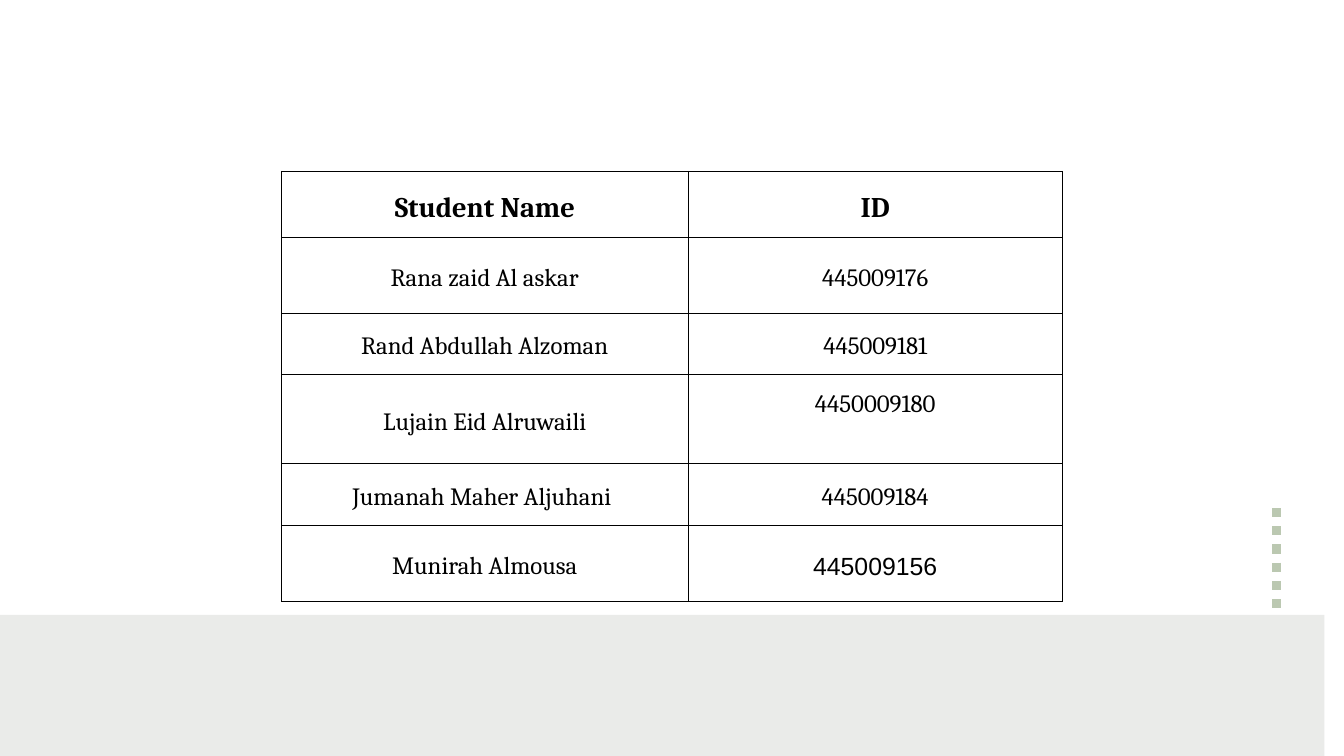
from lxml import etree
from pptx import Presentation
from pptx.dml.color import RGBColor
from pptx.enum.dml import MSO_LINE
from pptx.enum.shapes import MSO_CONNECTOR, MSO_SHAPE
from pptx.enum.text import MSO_ANCHOR, PP_ALIGN
from pptx.oxml import parse_xml
from pptx.oxml.ns import nsdecls, qn
from pptx.util import Inches, Pt

THEME = {
    "band": RGBColor(0xEA, 0xEB, 0xE9),
    "dots": RGBColor(0xBB, 0xC8, 0xB1),
    "text": RGBColor(0, 0, 0),
    "border": "000000",
    "border_width": Pt(1.37),
    "font": "Cambria",
    "header": {"size": Pt(30.5), "bold": True},
    "body": {"size": Pt(26.6), "bold": False},
    "header_leading": Pt(42.7),
    "body_leading": Pt(37.2),
}

STUDENTS = [
    ("Student Name", "ID"),
    ("Rana zaid Al askar", "445009176"),
    ("Rand Abdullah Alzoman", "445009181"),
    ("Lujain Eid Alruwaili", "4450009180"),
    ("Jumanah Maher Aljuhani ", "445009184"),
    ("Munirah Almousa", "445009156"),
]
COLUMN_WIDTHS = [6.05, 5.57]
ROW_HEIGHTS = [0.98, 1.13, 0.91, 1.33, 0.92, 1.13]
CELL_MARGIN = Inches(0.11)
RAISED_ID = "4450009180"
ARIAL_ID = "445009156"


def add_borders(cell):
    properties = cell._tc.get_or_add_tcPr()
    for position, side in enumerate(("lnL", "lnR", "lnT", "lnB")):
        properties.insert(position, parse_xml(
            f'<a:{side} {nsdecls("a")} w="{THEME["border_width"]}">'
            f'<a:solidFill><a:srgbClr val="{THEME["border"]}"/></a:solidFill>'
            f'<a:prstDash val="solid"/></a:{side}>'))


prs = Presentation()
prs.slide_width, prs.slide_height = Inches(20), Inches(11.25)
slide = prs.slides.add_slide(prs.slide_layouts[6])

# Dotted accent, running down behind the band
dots = slide.shapes.add_connector(
    MSO_CONNECTOR.STRAIGHT, Inches(18.99), Inches(7.56), Inches(18.99), Inches(10.42))
dots.line.color.rgb = THEME["dots"]
dots.line.width = Pt(9.75)
dots.line.dash_style = MSO_LINE.ROUND_DOT
etree.SubElement(dots._element.spPr, qn("a:effectLst"))

# Footer band
band = slide.shapes.add_shape(
    MSO_SHAPE.RECTANGLE, Inches(-2.82), Inches(9.15), Inches(22.53), Inches(3.38))
band.shadow.inherit = False
band.fill.solid()
band.fill.fore_color.rgb = THEME["band"]
band.line.fill.background()

# Student table
students = slide.shapes.add_table(
    len(STUDENTS), len(COLUMN_WIDTHS), Inches(4.19), Inches(2.55),
    Inches(sum(COLUMN_WIDTHS)), Inches(sum(ROW_HEIGHTS))).table
students.first_row = students.horz_banding = False
for column, width in zip(students.columns, COLUMN_WIDTHS):
    column.width = Inches(width)

for row_index, (entry, height) in enumerate(zip(STUDENTS, ROW_HEIGHTS)):
    students.rows[row_index].height = Inches(height)
    level = "body" if row_index else "header"
    for column_index, value in enumerate(entry):
        cell = students.cell(row_index, column_index)
        cell.fill.background()
        add_borders(cell)
        cell.vertical_anchor = MSO_ANCHOR.MIDDLE
        for side in ("left", "right", "top", "bottom"):
            setattr(cell, f"margin_{side}", CELL_MARGIN)
        if value == RAISED_ID:  # sits one half line above the middle
            cell.margin_bottom = CELL_MARGIN + THEME["body_leading"]

        paragraph = cell.text_frame.paragraphs[0]
        paragraph.alignment = PP_ALIGN.CENTER
        paragraph.line_spacing = THEME[f"{level}_leading"]
        run = paragraph.add_run()
        run.text = value
        font_name = "Arial" if value == ARIAL_ID else THEME["font"]
        for attribute, setting in {"name": font_name, **THEME[level]}.items():
            setattr(run.font, attribute, setting)
        run.font.color.rgb = THEME["text"]

prs.save("out.pptx")
